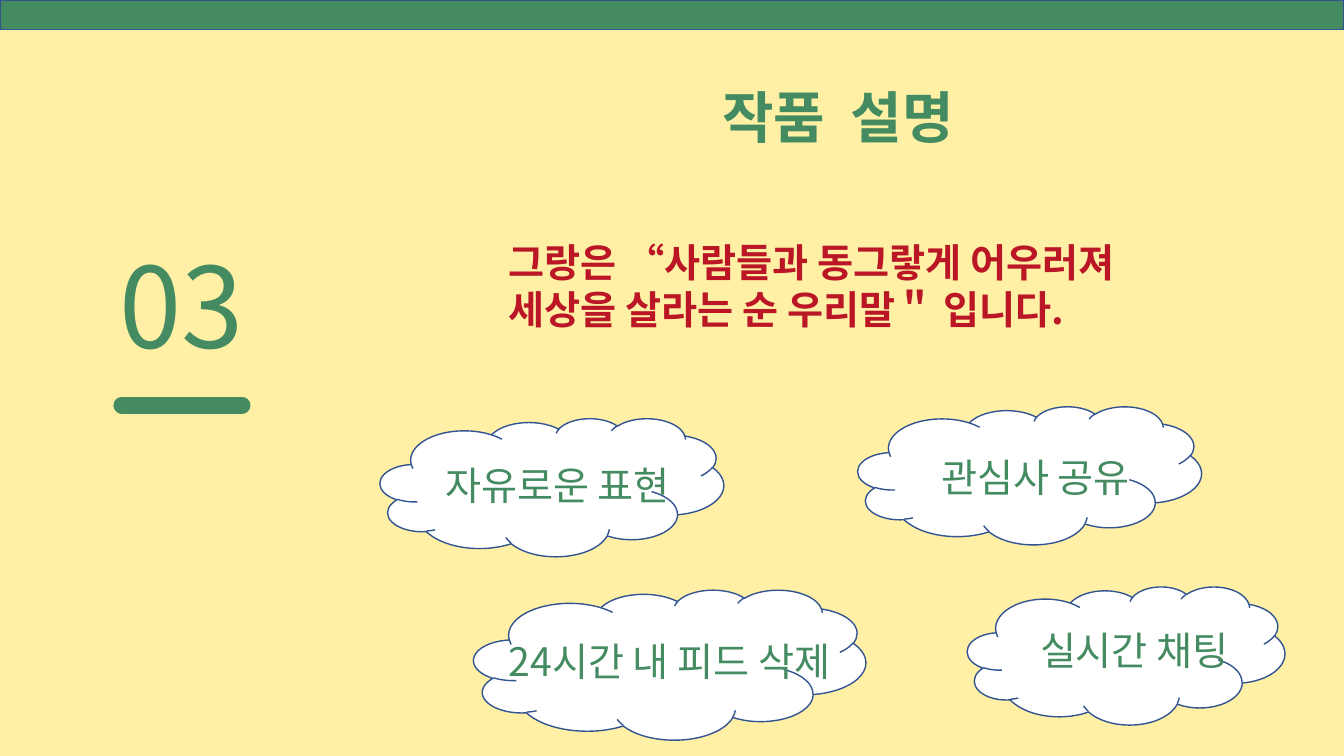
"""Builds the project description slide with four feature clouds."""
from lxml import etree
from pptx import Presentation
from pptx.dml.color import RGBColor
from pptx.enum.dml import MSO_FILL
from pptx.enum.shapes import MSO_CONNECTOR, MSO_SHAPE
from pptx.enum.text import MSO_AUTO_SIZE
from pptx.oxml import parse_xml
from pptx.oxml.ns import qn
from pptx.util import Cm, Pt

CLOUD, RECT = MSO_SHAPE.CLOUD, MSO_SHAPE.RECTANGLE
STRAIGHT, GROW = MSO_CONNECTOR.STRAIGHT, MSO_AUTO_SIZE.SHAPE_TO_FIT_TEXT
SOLID = MSO_FILL.SOLID
FONT = "Noto Sans CJK KR"
GREEN, RED, CREAM, WHITE, NAVY = "448B61", "BA1626", "FFF0A5", "FFFFFF", "325491"
WIDTH, HEIGHT = 33.87, 19.05

BAR = (0, 0, WIDTH, 0.74)
RULE = (3.07, 10.21, 6.1, 10.21)
TEXTS = [
    ("03", (2.77, 5.84, 3.73, 3.68), 80, GREEN, False),
    ("작품  설명", (17.96, 1.96, 6.78, 1.96), 40, GREEN, True),
    ("그랑은 “사람들과 동그랗게 어우러져 세상을 살라는 순 우리말＂ 입니다.",
     (12.57, 5.89, 17.53, 2.64), 28, RED, True),
]
FEATURES = [
    ("실시간 채팅", (24.38, 14.78, 8, 3.48), (25.96, 15.67, 5.49, 1.45)),
    ("관심사 공유", (21.62, 10.24, 8.66, 3.48), (23.47, 11.3, 6.63, 1.45)),
    ("24시간 내 피드 삭제", (11.94, 14.86, 9.88, 3.78), (12.57, 15.93, 9.96, 1.45)),
    ("자유로운 표현", (9.58, 10.54, 8.66, 3.48), (10.97, 11.51, 6.63, 1.45)),
]
SHADOW = (
    '<a:effectLst xmlns:a="http://schemas.openxmlformats.org/drawingml/2006/main">'
    '<a:outerShdw blurRad="38100" dist="38100" dir="5400000" algn="t" rotWithShape="0">'
    '<a:srgbClr val="000000"><a:alpha val="40000"/></a:srgbClr>'
    '</a:outerShdw></a:effectLst>'
)


def paint(fmt, color):
    if fmt.type != SOLID:
        fmt.solid()
    fmt.fore_color.rgb = RGBColor.from_string(color)


def add_outlined(s, kind, box, color):
    sp = s.shapes.add_shape(kind, *map(Cm, box))
    sp.shadow.inherit = False
    paint(sp.fill, color)
    paint(sp.line.fill, NAVY)
    sp.line.width = Pt(1)


def add_text(s, text, box, size, color, bold=False, shadow=False):
    tf = s.shapes.add_textbox(*map(Cm, box)).text_frame
    tf.text = text
    tf.word_wrap = True
    tf.auto_size = GROW
    r = tf.paragraphs[0].runs[0]
    r.font.size, r.font.bold, r.font.name = Pt(size), bold, FONT
    paint(r.font.fill, color)
    latin = r.font._element.find(qn("a:latin"))
    ea = etree.Element(qn("a:ea"), typeface=FONT)
    latin.addnext(ea)
    if shadow:
        latin.addprevious(parse_xml(SHADOW))


def add_rule(s):
    line = s.shapes.add_connector(STRAIGHT, *map(Cm, RULE))
    paint(line.line.fill, GREEN)
    line.line.width = Pt(12)
    sp_pr = line._element.spPr
    sp_pr.find(qn("a:ln")).set("cap", "rnd")
    etree.SubElement(sp_pr, qn("a:effectLst"))


def main():
    prs = Presentation()
    prs.slide_width, prs.slide_height = Cm(WIDTH), Cm(HEIGHT)
    s = prs.slides.add_slide(prs.slide_layouts[6])
    paint(s.background.fill, CREAM)
    for _, cloud, _ in FEATURES:
        add_outlined(s, CLOUD, cloud, WHITE)
    add_outlined(s, RECT, BAR, GREEN)
    add_rule(s)
    for entry in TEXTS:
        add_text(s, *entry)
    for label, _, box in FEATURES:
        add_text(s, label, box, 28, GREEN, shadow=True)
    prs.save("out.pptx")


if __name__ == "__main__":
    main()
